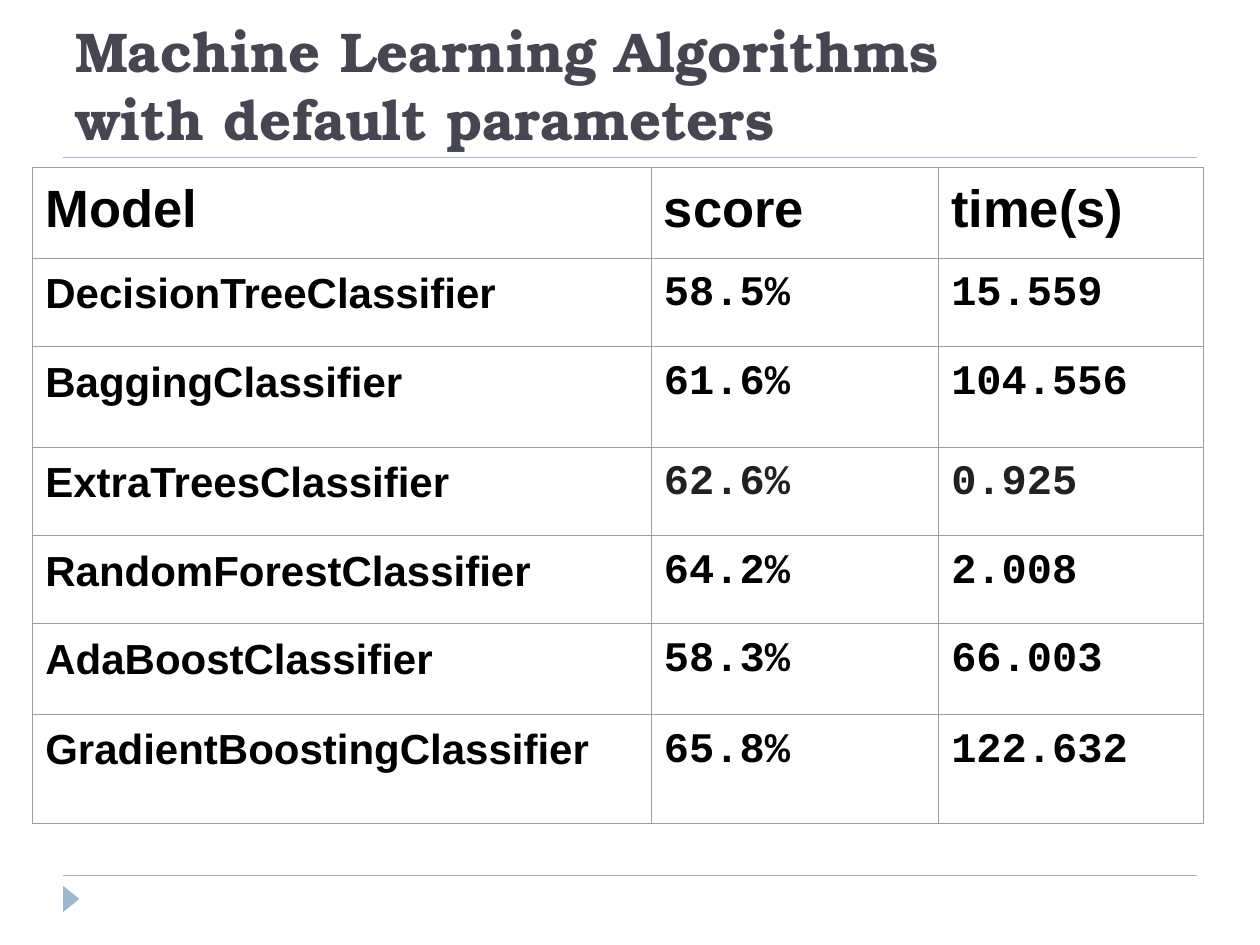
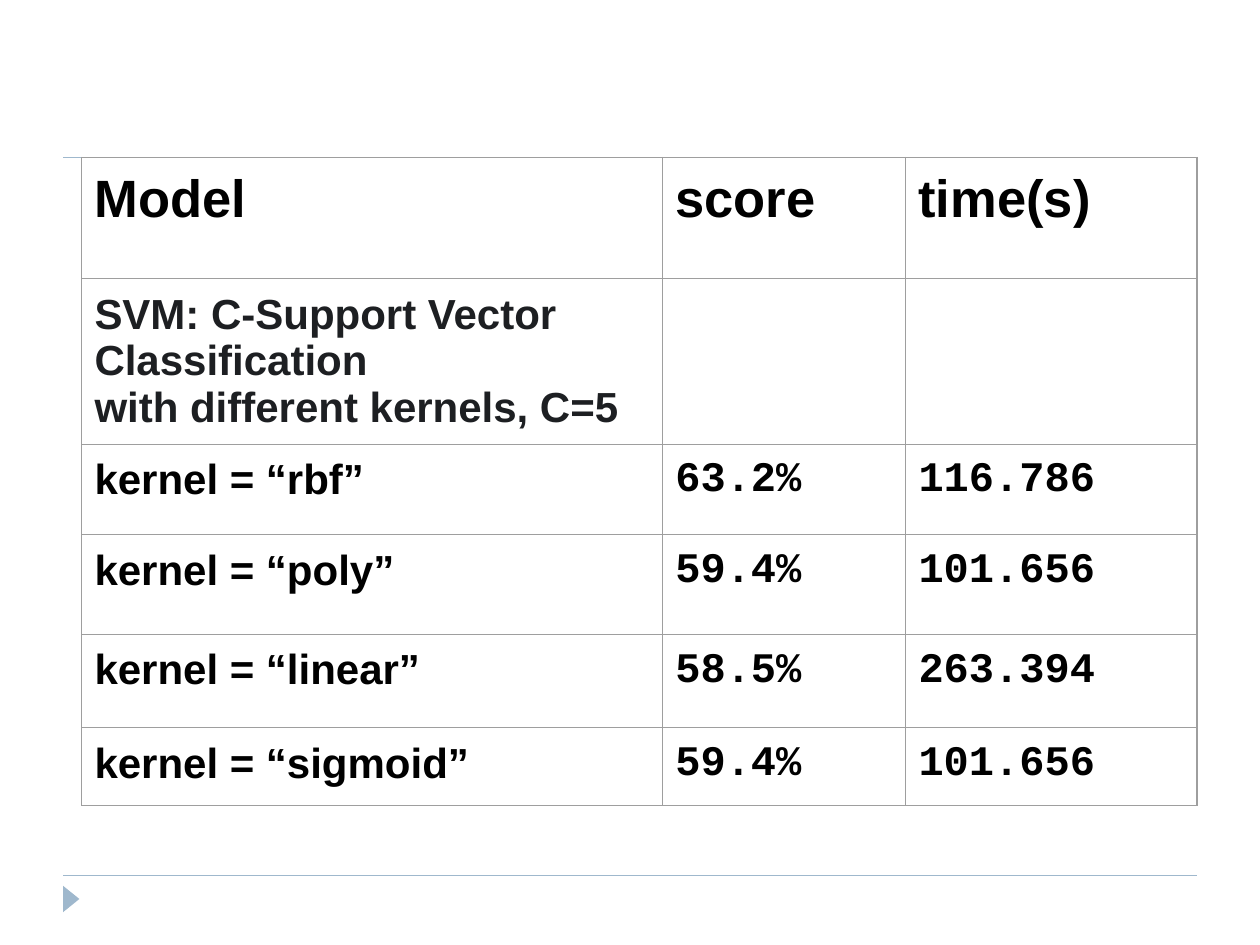
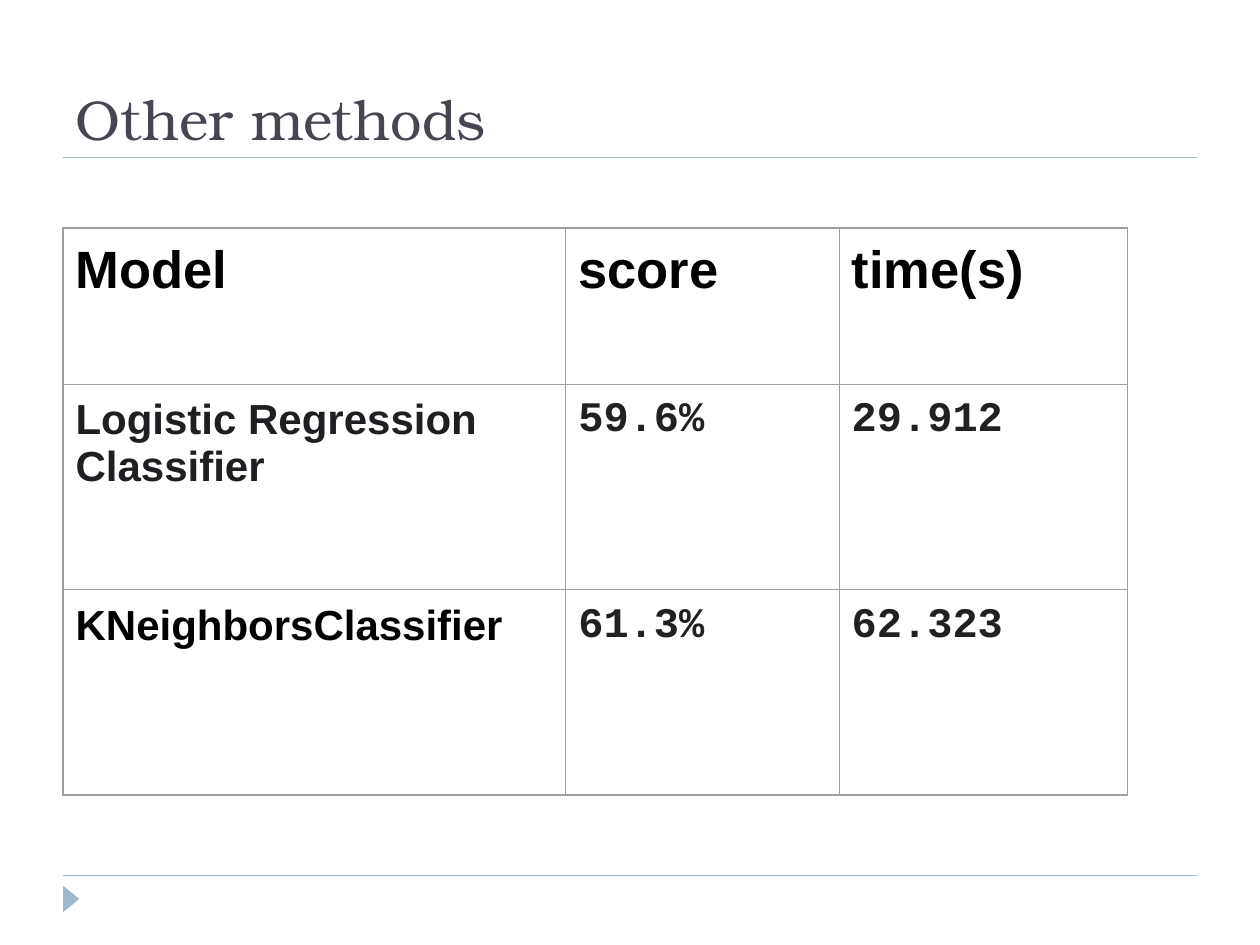
from pptx import Presentation
from pptx.dml.color import RGBColor
from pptx.enum.shapes import MSO_CONNECTOR, MSO_SHAPE
from pptx.enum.text import MSO_ANCHOR
from pptx.oxml import parse_xml
from pptx.oxml.ns import nsdecls
from pptx.util import Inches, Pt
from lxml.etree import SubElement

ACCENT, TITLE_INK, GRID = "9FB8CD", "464653", "9E9E9E"
BLACK, SLATE, CHARCOAL = "000000", "1D1F22", "212121"
HEADER = ("Model", "score", "time(s)")

# Each row: model, score, time, model colour, figure colour
SLIDES = [
    dict(
        title=["Machine Learning Algorithms", "with default parameters"], bold=True,
        left=0.26, top=1.33, widths=[4.91, 2.28, 2.1],
        heights=[0.72, 0.7, 0.8, 0.7, 0.7, 0.72, 0.87],
        rows=[
            ("DecisionTreeClassifier", "58.5%", "15.559", BLACK, BLACK),
            ("BaggingClassifier", "61.6%", "104.556", BLACK, BLACK),
            ("ExtraTreesClassifier", "62.6%", "0.925", BLACK, CHARCOAL),
            ("RandomForestClassifier", "64.2%", "2.008", BLACK, BLACK),
            ("AdaBoostClassifier", "58.3%", "66.003", BLACK, BLACK),
            ("GradientBoostingClassifier", "65.8%", "122.632", BLACK, BLACK),
        ],
    ),
    dict(
        title=[], bold=False,
        left=0.65, top=1.25, widths=[4.61, 1.93, 2.31],
        heights=[0.96, 1.17, 0.72, 0.79, 0.74, 0.62],
        rows=[
            ("SVM: C-Support Vector Classification\nwith different kernels, C=5",
             "", "", SLATE, BLACK),
            ("kernel = “rbf”", "63.2%", "116.786", BLACK, BLACK),
            ("kernel = “poly”", "59.4%", "101.656", BLACK, BLACK),
            ("kernel = “linear”", "58.5%", "263.394", BLACK, BLACK),
            ("kernel = “sigmoid”", "59.4%", "101.656", BLACK, BLACK),
        ],
    ),
    dict(
        title=["Other methods"], bold=False,
        left=0.5, top=1.81, widths=[3.99, 2.17, 2.29],
        heights=[1.24, 1.63, 1.63],
        rows=[
            ("Logistic Regression Classifier", "59.6%", "29.912", SLATE, CHARCOAL),
            ("KNeighborsClassifier", "61.3%", "62.323", BLACK, CHARCOAL),
        ],
    ),
]


def color(hex_string):
    return RGBColor.from_string(hex_string)


def write(frame, lines, font, size, ink, bold):
    """Put each line in its own paragraph of the frame."""
    for index, line in enumerate(lines):
        para = frame.paragraphs[0] if index == 0 else frame.add_paragraph()
        span = para.add_run()
        span.text = line
        span.font.name = font
        span.font.size = Pt(size)
        span.font.bold = bold
        span.font.color.rgb = color(ink)


deck = Presentation()
deck.slide_width, deck.slide_height = Inches(10), Inches(7.5)

for content in SLIDES:
    page = deck.slides.add_slide(deck.slide_layouts[6])

    # Rules under the title and above the footer, and the footer marker
    for y in (6.95, 1.25):
        rule = page.shapes.add_connector(
            MSO_CONNECTOR.STRAIGHT, Inches(0.5), Inches(y), Inches(9.5), Inches(y))
        rule.line.color.rgb = color(ACCENT)
        rule.line.width = Pt(0.75)
        SubElement(rule._element.spPr,
                   "{http://schemas.openxmlformats.org/drawingml/2006/main}effectLst")
    marker = page.shapes.add_shape(
        MSO_SHAPE.ISOSCELES_TRIANGLE, Inches(0.46), Inches(7.07), Inches(0.21), Inches(0.13))
    marker.rotation = 90
    marker.shadow.inherit = False
    marker.fill.solid()
    marker.fill.fore_color.rgb = color(ACCENT)
    marker.line.fill.background()

    if content["title"]:
        box = page.shapes.add_textbox(Inches(0.5), Inches(0.17), Inches(9), Inches(1.08))
        box.text_frame.word_wrap = True
        box.text_frame.vertical_anchor = MSO_ANCHOR.BOTTOM
        write(box.text_frame, content["title"], "TeX Gyre Bonum", 32, TITLE_INK, content["bold"])

    widths, heights = content["widths"], content["heights"]
    table = page.shapes.add_table(
        len(heights), len(widths), Inches(content["left"]), Inches(content["top"]),
        Inches(sum(widths)), Inches(sum(heights))).table
    table.first_row = table.horz_banding = False
    for column, width in zip(table.columns, widths):
        column.width = Inches(width)
    for row, height in zip(table.rows, heights):
        row.height = Inches(height)

    for r, (*texts, model_ink, figure_ink) in enumerate([(*HEADER, BLACK, BLACK)] + content["rows"]):
        for c, text in enumerate(texts):
            cell = table.cell(r, c)
            cell.margin_left = cell.margin_right = Inches(0.1)
            cell.margin_top = cell.margin_bottom = Inches(0.1)
            for side in ("lnL", "lnR", "lnT", "lnB"):
                cell._tc.get_or_add_tcPr().append(parse_xml(
                    f'<a:{side} {nsdecls("a")} w="{Pt(0.75)}"><a:solidFill>'
                    f'<a:srgbClr val="{GRID}"/></a:solidFill></a:{side}>'))
            cell.fill.background()
            if text:
                font = "Courier New" if r > 0 and c > 0 else "Arial"
                write(cell.text_frame, text.split("\n"), font, 24 if r else 30,
                      figure_ink if c else model_ink, True)

deck.save("out.pptx")
